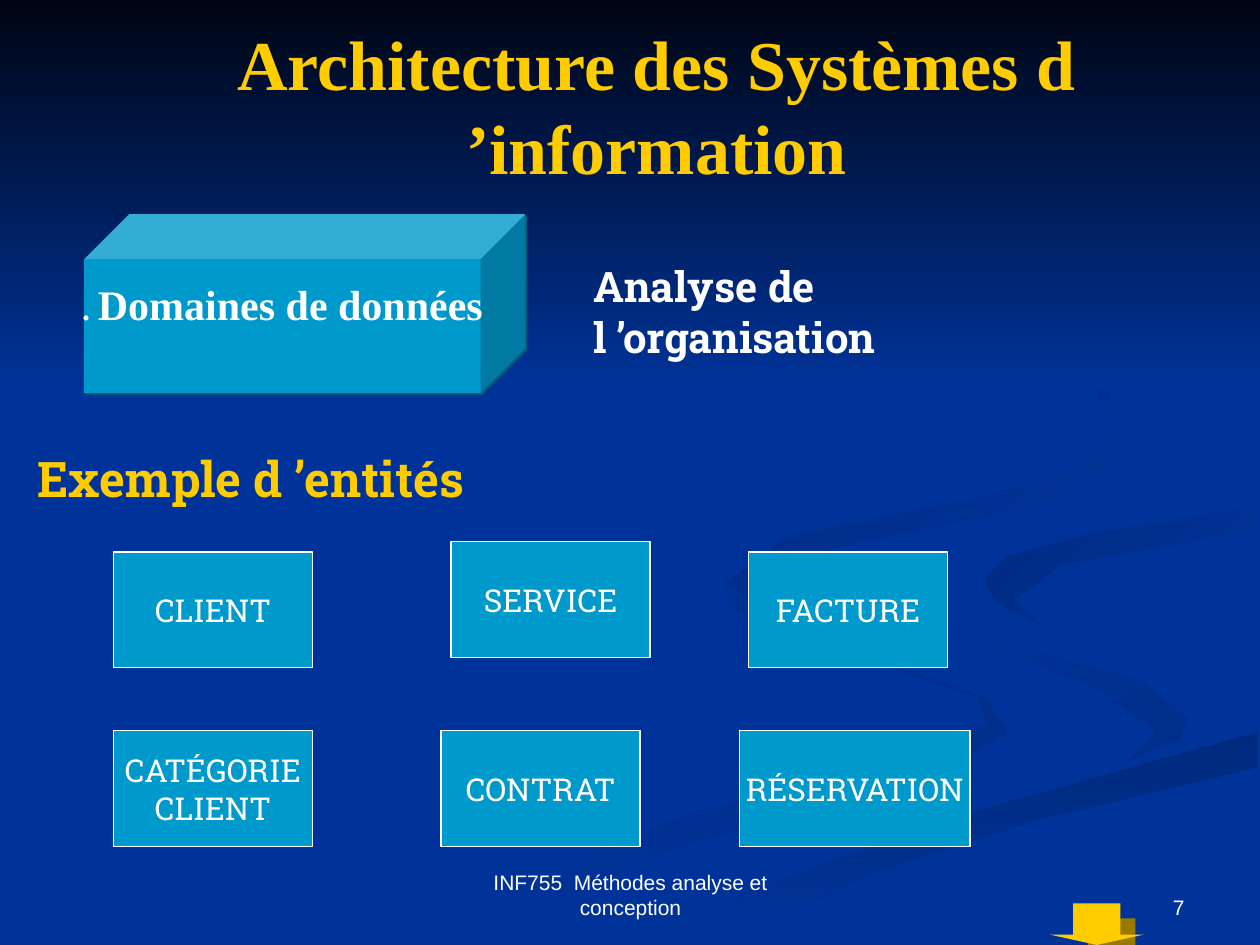
from lxml.etree import SubElement
from pptx import Presentation
from pptx.dml.color import RGBColor
from pptx.enum.shapes import MSO_SHAPE
from pptx.enum.text import MSO_ANCHOR, MSO_AUTO_SIZE, PP_ALIGN
from pptx.oxml.ns import qn
from pptx.util import Pt

HEX = {
    "blue": "003399", "night": "000514", "deep": "002E8B", "dark": "002A7D",
    "shade": "002B82", "cyan": "0099CC", "teal": "005C7A",
    "gold": "FFCC00", "brown": "997A00", "white": "FFFFFF",
}
RGB = {name: RGBColor.from_string(code) for name, code in HEX.items()}
SLAB, ROMAN, SANS = "Roboto Slab", "Times New Roman", "Arial"

deck = Presentation()
deck.slide_width, deck.slide_height = Pt(720), Pt(540)
unit = deck.slide_width // 1000
slide = deck.slides.add_slide(deck.slide_layouts[5])
slide.background.fill.solid()
slide.background.fill.fore_color.rgb = RGB["blue"]
shapes = slide.shapes


def write(shape, lines, font, size, color="white", bold=False,
          align=PP_ALIGN.CENTER, anchor=MSO_ANCHOR.MIDDLE, wrap=False):
    frame = shape.text_frame
    frame.text = "\n".join(lines)
    frame.word_wrap = wrap
    frame.vertical_anchor = anchor
    for par in frame.paragraphs:
        par.alignment = align
        par.font.name, par.font.size, par.font.bold = font, Pt(size), bold
        par.font.color.rgb = RGB[color]
    return frame


def block(kind, box, color, shade=None, dist=0):
    shape = shapes.add_shape(kind, *[n * unit for n in box])
    shape.fill.solid()
    shape.fill.fore_color.rgb = RGB[color]
    shape.line.fill.background()
    shape.shadow.inherit = False
    if shade:
        cast = SubElement(shape.element.spPr.find(qn("a:effectLst")), qn("a:outerShdw"),
                          blurRad="0", dist=str(Pt(dist)), dir="2700000",
                          algn="ctr", rotWithShape="0")
        SubElement(cast, qn("a:srgbClr"), val=HEX[shade])
    return shape


waves = [
    ("deep", "blue", 180, [
        (781, 553), (682, 519), (594, 485), (575, 459), (581, 483), (654, 513),
        (776, 553), (783, 574), (714, 605), (539, 649), (300, 749), (361, 749),
        (532, 674), (740, 618), (800, 581)]),
    ("deep", "blue", 135, [
        (943, 570), (905, 540), (792, 509), (733, 483), (724, 464), (746, 500),
        (868, 544), (918, 581), (894, 605), (937, 586)]),
    ("dark", "blue", 270, [
        (503, 749), (571, 749), (695, 692), (821, 651), (998, 609), (998, 581),
        (764, 647), (599, 706)]),
    ("blue", "shade", 135, [
        (781, 460), (791, 478), (826, 496), (805, 476), (843, 448), (998, 420),
        (998, 402), (865, 424), (799, 442)]),
    ("blue", "shade", 135, [
        (683, 430), (825, 402), (889, 362), (890, 324), (843, 275), (762, 233),
        (846, 279), (889, 335), (861, 370), (791, 392), (625, 426), (577, 462),
        (622, 500), (594, 475), (614, 448)]),
    ("night", "blue", 270, [(0, 0), (0, 308), (1000, 308), (1000, 0)]),
]
for start, end, angle, dots in waves:
    pen = shapes.build_freeform(*dots[0], scale=unit)
    pen.add_line_segments(dots[1:], close=True)
    wave = pen.convert_to_shape()
    wave.line.fill.background()
    wave.shadow.inherit = False
    wave.fill.gradient()
    wave.fill.gradient_angle = angle
    for stop, tint in zip(wave.fill.gradient_stops, (start, end)):
        stop.color.rgb = RGB[tint]

title = shapes.title
title.element.getparent().append(title.element)
title.left, title.top, title.width, title.height = [n * unit for n in (42, 60, 958, 108)]
frame = write(title, ["Architecture des Systèmes d ’information"], ROMAN, 40,
              "gold", True, wrap=True)
frame.auto_size = MSO_AUTO_SIZE.NONE
frame.margin_bottom = 67 * unit

cube = block(MSO_SHAPE.CUBE, (67, 170, 350, 142), "cyan", "teal", 1.4)
frame = write(cube, [""], ROMAN, 24, bold=True)
frame.margin_bottom = 41 * unit
for part, size in ((". ", 18), ("Domaines de données", 24)):
    run = frame.paragraphs[0].add_run()
    run.text, run.font.size = part, Pt(size)

arrow = block(MSO_SHAPE.DOWN_ARROW, (833, 717, 75, 33), "gold", "brown", 12.1)
arrow.adjustments[1] = 0.25

notes = [
    ((717, 683, 233, 52), ["7"], SANS, 12, "white", False,
     PP_ALIGN.RIGHT, MSO_ANCHOR.BOTTOM, True),
    ((342, 683, 317, 52), ["INF755  Méthodes analyse et conception"], SANS, 12,
     "white", False, PP_ALIGN.CENTER, MSO_ANCHOR.BOTTOM, True),
    ((461, 202, 270, 90), ["Analyse de", "l ’organisation"], SLAB, 24,
     "white", True, PP_ALIGN.LEFT, MSO_ANCHOR.TOP, False),
]
for box, *style in notes:
    write(shapes.add_textbox(*[n * unit for n in box]), *style)

head = shapes.add_textbox(*[n * unit for n in (20, 351, 867, 57)])
props = head.text_frame.paragraphs[0]._p.get_or_add_pPr()
props.set("marL", str(32 * unit))
props.set("indent", str(-32 * unit))
SubElement(SubElement(props, qn("a:buClr")), qn("a:srgbClr"), val=HEX["gold"])
SubElement(props, qn("a:buFont"), typeface=SANS)
SubElement(props, qn("a:buChar"), char="•")
write(head, ["Exemple d ’entités"], SLAB, 28, "gold", True,
      PP_ALIGN.LEFT, MSO_ANCHOR.TOP, True)

cards = [
    (90, 438, 158, ["CLIENT"]), (90, 580, 158, ["CATÉGORIE", "CLIENT"]),
    (350, 580, 158, ["CONTRAT"]), (587, 580, 183, ["RÉSERVATION"]),
    (358, 430, 158, ["SERVICE"]), (594, 438, 158, ["FACTURE"]),
]
for left, top, width, lines in cards:
    card = block(MSO_SHAPE.RECTANGLE, (left, top, width, 92), "cyan")
    card.line.color.rgb = RGB["white"]
    card.line.width = Pt(0.75)
    write(card, lines, SLAB, 18)

deck.save("out.pptx")
